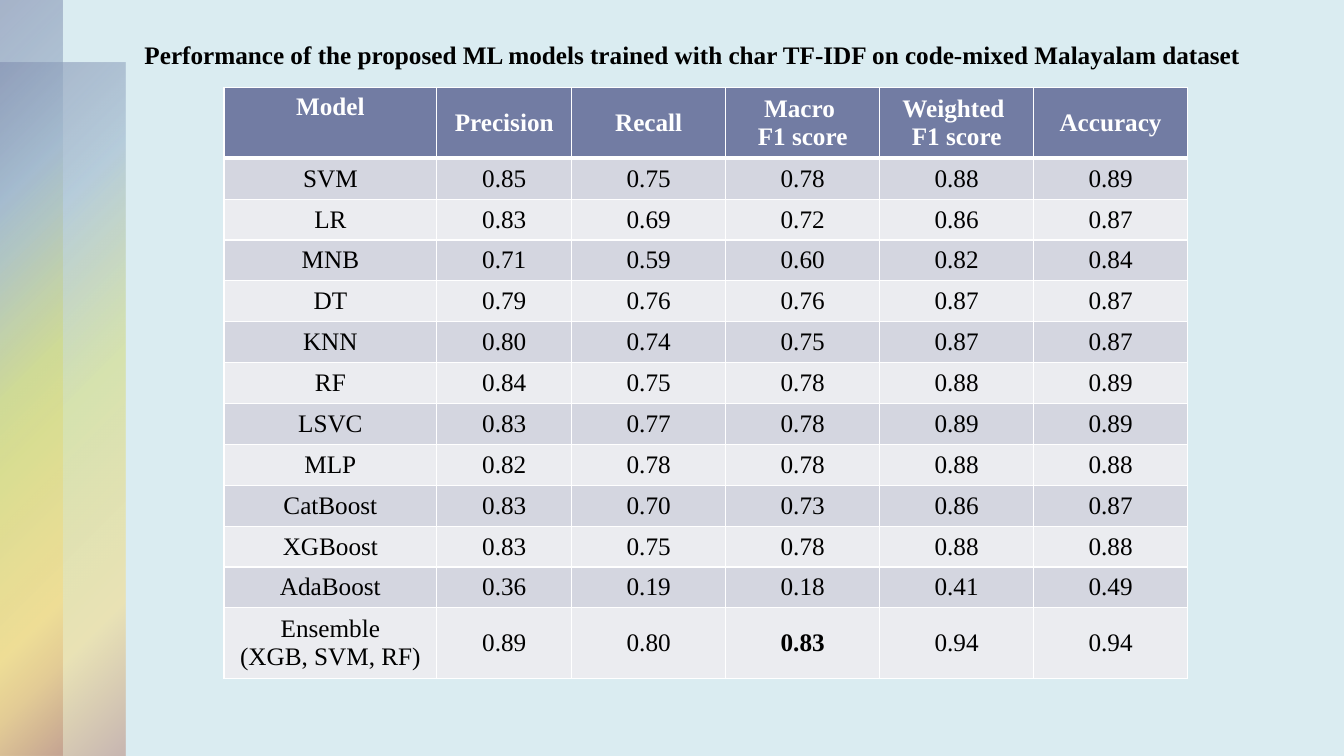
from lxml import etree
from pptx import Presentation
from pptx.dml.color import RGBColor
from pptx.enum import shapes, text
from pptx.oxml import ns
from pptx.util import Pt

SKY = RGBColor(0xDA, 0xEC, 0xF1)
SLATE = RGBColor(0x72, 0x7C, 0xA3)
STEEL = RGBColor(0x9F, 0xB8, 0xCD)
LIME = RGBColor(0xD2, 0xDA, 0x7A)
GOLD = RGBColor(0xFA, 0xDA, 0x7A)
CLAY = RGBColor(0xB8, 0x84, 0x72)
DARK = RGBColor(0xD4, 0xD6, 0xE0)
LIGHT = RGBColor(0xEB, 0xEC, 0xF0)
WHITE = RGBColor(0xFF, 0xFF, 0xFF)
BLACK = RGBColor(0, 0, 0)

TITLE = ("Performance of the proposed ML models trained with char TF-IDF "
         "on code-mixed Malayalam dataset")
HEAD = ("Model", "Precision", "Recall", "Macro \nF1 score",
        "Weighted \nF1 score", "Accuracy")
SCORES = (
    ("SVM", 0.85, 0.75, 0.78, 0.88, 0.89),
    ("LR", 0.83, 0.69, 0.72, 0.86, 0.87),
    ("MNB", 0.71, 0.59, 0.60, 0.82, 0.84),
    ("DT", 0.79, 0.76, 0.76, 0.87, 0.87),
    ("KNN", 0.80, 0.74, 0.75, 0.87, 0.87),
    ("RF", 0.84, 0.75, 0.78, 0.88, 0.89),
    ("LSVC", 0.83, 0.77, 0.78, 0.89, 0.89),
    ("MLP", 0.82, 0.78, 0.78, 0.88, 0.88),
    ("CatBoost", 0.83, 0.70, 0.73, 0.86, 0.87),
    ("XGBoost", 0.83, 0.75, 0.78, 0.88, 0.88),
    ("AdaBoost", 0.36, 0.19, 0.18, 0.41, 0.49),
    ("Ensemble\n(XGB, SVM, RF)", 0.89, 0.80, 0.83, 0.94, 0.94),
)
BEST = (len(SCORES), 3)
COLS = (152, 96.4, 110, 110, 110, 110)
ROWS = (50.4,) + (29.2,) * 11 + (50.4,)


def node(parent, tag, **attrs):
    return etree.SubElement(parent, ns.qn(tag), attrs)


def tint(parent, color, alpha=100):
    rgb = node(parent, "a:srgbClr", val=str(color))
    if alpha < 100:
        node(rgb, "a:alpha", val=str(alpha * 1000))


def style(frame, color, bold, align):
    for para in frame.paragraphs:
        para.alignment = align
        font = para.runs[0].font
        look = {"name": "Times New Roman", "size": Pt(18), "bold": bold}
        for key, val in look.items():
            setattr(font, key, val)
        font.color.rgb = color


def add_bar(slide, top, width, mid):
    """Add a translucent side bar shaded outward from its top left corner."""
    bar = slide.shapes.add_shape(shapes.MSO_SHAPE.RECTANGLE, 0, Pt(top),
                                 Pt(width), Pt(540 - top))
    bar.shadow.inherit = False
    bar.line.fill.background()
    grad = etree.Element(ns.qn("a:gradFill"), rotWithShape="1")
    stops = node(grad, "a:gsLst")
    for pos, color, alpha in ((0, SLATE, 50), (25, STEEL, 60), (mid, LIME, 55),
                              (81, GOLD, 50), (99, CLAY, 50), (100, CLAY, 50)):
        tint(node(stops, "a:gs", pos=str(pos * 1000)), color, alpha)
    way = node(grad, "a:path", path="circle")
    node(way, "a:fillToRect", r="100000", b="100000")
    bar.element.spPr.insert(2, grad)


def add_title(slide):
    title = slide.shapes.title
    place = {"left": 96, "top": 24.5, "width": 864, "height": 29}
    for key, val in place.items():
        setattr(title, key, Pt(val))
    frame = title.text_frame
    frame.text = TITLE
    look = {"word_wrap": True, "vertical_anchor": text.MSO_ANCHOR.TOP,
            "auto_size": text.MSO_AUTO_SIZE.SHAPE_TO_FIT_TEXT}
    for key, val in look.items():
        setattr(frame, key, val)
    style(frame, BLACK, True, text.PP_ALIGN.LEFT)


def edge(cell, widths):
    """Draw white borders; widths holds the points for each side."""
    props = cell._tc.get_or_add_tcPr()
    for i, (side, width) in enumerate(widths.items()):
        line = etree.Element(ns.qn("a:ln" + side), w=str(Pt(width)))
        tint(node(line, "a:solidFill"), WHITE)
        props.insert(i, line)


def fill_cell(cell, value, row, col):
    head = row == 0
    cell.text = value if isinstance(value, str) else f"{value:.2f}"
    if (row, col) != (0, 0):
        cell.vertical_anchor = text.MSO_ANCHOR.MIDDLE
    cell.fill.solid()
    cell.fill.fore_color.rgb = SLATE if head else DARK if row % 2 else LIGHT
    style(cell.text_frame, WHITE if head else BLACK,
          head or (row, col) == BEST, text.PP_ALIGN.CENTER)
    edge(cell, {"L": 1, "R": 1, "T": 3 if row == 1 else 1, "B": 3 if head else 1})


def add_scores(slide):
    frame = slide.shapes.add_table(len(ROWS), len(COLS), Pt(160), Pt(62.6),
                                   Pt(sum(COLS)), Pt(sum(ROWS)))
    table = frame.table
    for col, width in zip(table.columns, COLS):
        col.width = Pt(width)
    for row, height in zip(table.rows, ROWS):
        row.height = Pt(height)
    for r, line in enumerate((HEAD,) + SCORES):
        for c, value in enumerate(line):
            fill_cell(table.cell(r, c), value, r, c)


def main():
    deck = Presentation()
    deck.slide_width, deck.slide_height = Pt(960), Pt(540)
    slide = deck.slides.add_slide(deck.slide_layouts[5])
    slide.background.fill.solid()
    slide.background.fill.fore_color.rgb = SKY
    add_bar(slide, 45, 90, 50)
    add_bar(slide, 0, 45, 49)
    add_scores(slide)
    add_title(slide)
    deck.save("out.pptx")


if __name__ == "__main__":
    main()
